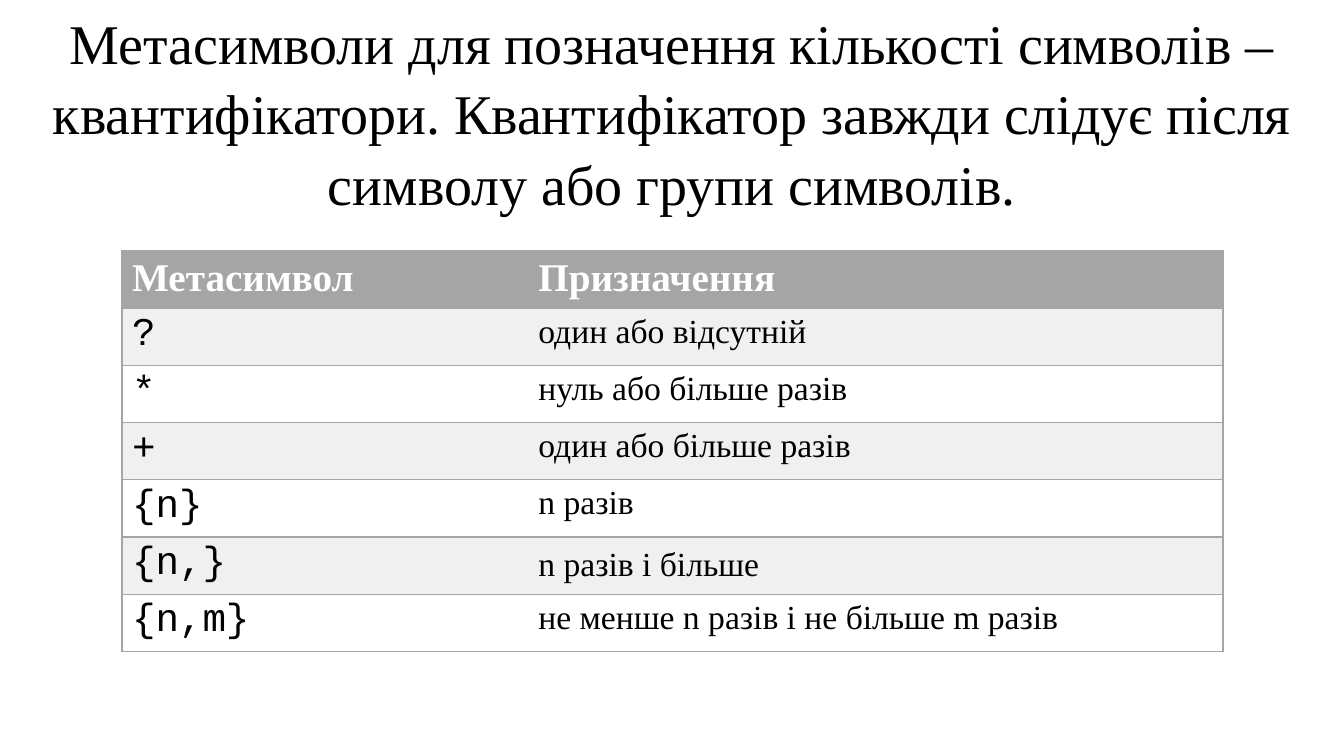
from dataclasses import dataclass

from lxml import etree
from pptx import Presentation
from pptx.dml.color import RGBColor
from pptx.enum.text import MSO_ANCHOR, MSO_AUTO_SIZE, PP_ALIGN
from pptx.oxml.ns import qn
from pptx.util import Inches, Pt

CENTER = PP_ALIGN.CENTER
LEFT = PP_ALIGN.LEFT
TOP = MSO_ANCHOR.TOP
MIDDLE = MSO_ANCHOR.MIDDLE
GROW = MSO_AUTO_SIZE.SHAPE_TO_FIT_TEXT
PLAIN = "{2D5ABB26-0587-4C30-8999-92F81FD0307C}"


@dataclass(frozen=True)
class Theme:
    ink: str = "000000"
    white: str = "FFFFFF"
    gray: str = "A5A5A5"
    band: str = "F0F0F0"
    serif: str = "Times New Roman"
    mono: str = "Courier New"
    title: int = 40
    large: int = 28
    small: int = 24
    rule: int = 1


THEME = Theme()
TITLE = ("Метасимволи для позначення кількості символів – квантифікатори. "
         "Квантифікатор завжди слідує після символу або групи символів.")
HEAD = ("Метасимвол", "Призначення")
ROWS = [
    ("?", "один або відсутній"),
    ("*", "нуль або більше разів"),
    ("+", "один або більше разів"),
    ("{n}", "n разів"),
    ("{n,}", "n разів і більше"),
    ("{n,m}", "не менше n разів і не більше m разів"),
]
RAISED = "{n,}"


def write(frame, text, size=THEME.small, face=THEME.serif, color=THEME.ink,
          bold=False, align=LEFT, pitch=1.0):
    para = frame.paragraphs[0]
    para.alignment = align
    para.line_spacing = pitch
    run = para.add_run()
    run.text = text
    font = run.font
    font.size = Pt(size)
    font.name = face
    font.bold = bold
    font.color.rgb = RGBColor.from_string(color)


def add_title(slide):
    title = slide.shapes.title
    title.left = title.top = Inches(0)
    title.width, title.height = Inches(13.33), Inches(2.12)
    frame = title.text_frame
    frame.word_wrap = True
    frame.auto_size = GROW
    frame.vertical_anchor = TOP
    write(frame, TITLE, size=THEME.title, align=CENTER, pitch=1.05)


def add_edges(cell, sides):
    props = cell._tc.get_or_add_tcPr()
    for side in sides:
        line = etree.SubElement(props, qn(f"a:ln{side}"), w=str(Pt(THEME.rule)))
        fill = etree.SubElement(line, qn("a:solidFill"))
        etree.SubElement(fill, qn("a:srgbClr"), val=THEME.gray)


def fill_cell(cell, text, sides, back, anchor=TOP, **style):
    add_edges(cell, sides)
    cell.fill.solid()
    cell.fill.fore_color.rgb = RGBColor.from_string(back)
    cell.vertical_anchor = anchor
    write(cell.text_frame, text, **style)


def add_grid(slide):
    grid = slide.shapes.add_table(
        len(ROWS) + 1, len(HEAD),
        Inches(1.21), Inches(2.49), Inches(10.92), Inches(3.97)).table
    grid._tbl.tblPr.find(qn("a:tableStyleId")).text = PLAIN
    for col, width in zip(grid.columns, (4.03, 6.89)):
        col.width = Inches(width)
    edges = ("LTB", "RTB")
    for col, text in enumerate(HEAD):
        fill_cell(grid.cell(0, col), text, edges[col], THEME.gray,
                  size=THEME.large, color=THEME.white, bold=True)
    for row, (sign, sense) in enumerate(ROWS, 1):
        back = THEME.band if row % 2 else THEME.white
        fill_cell(grid.cell(row, 0), sign, edges[0], back,
                  size=THEME.large, face=THEME.mono)
        fill_cell(grid.cell(row, 1), sense, edges[1], back,
                  anchor=MIDDLE if sign == RAISED else TOP)


def main():
    deck = Presentation()
    deck.slide_width, deck.slide_height = Inches(13.33), Inches(7.5)
    slide = deck.slides.add_slide(deck.slide_layouts[5])
    add_title(slide)
    add_grid(slide)
    deck.save("out.pptx")


if __name__ == "__main__":
    main()
